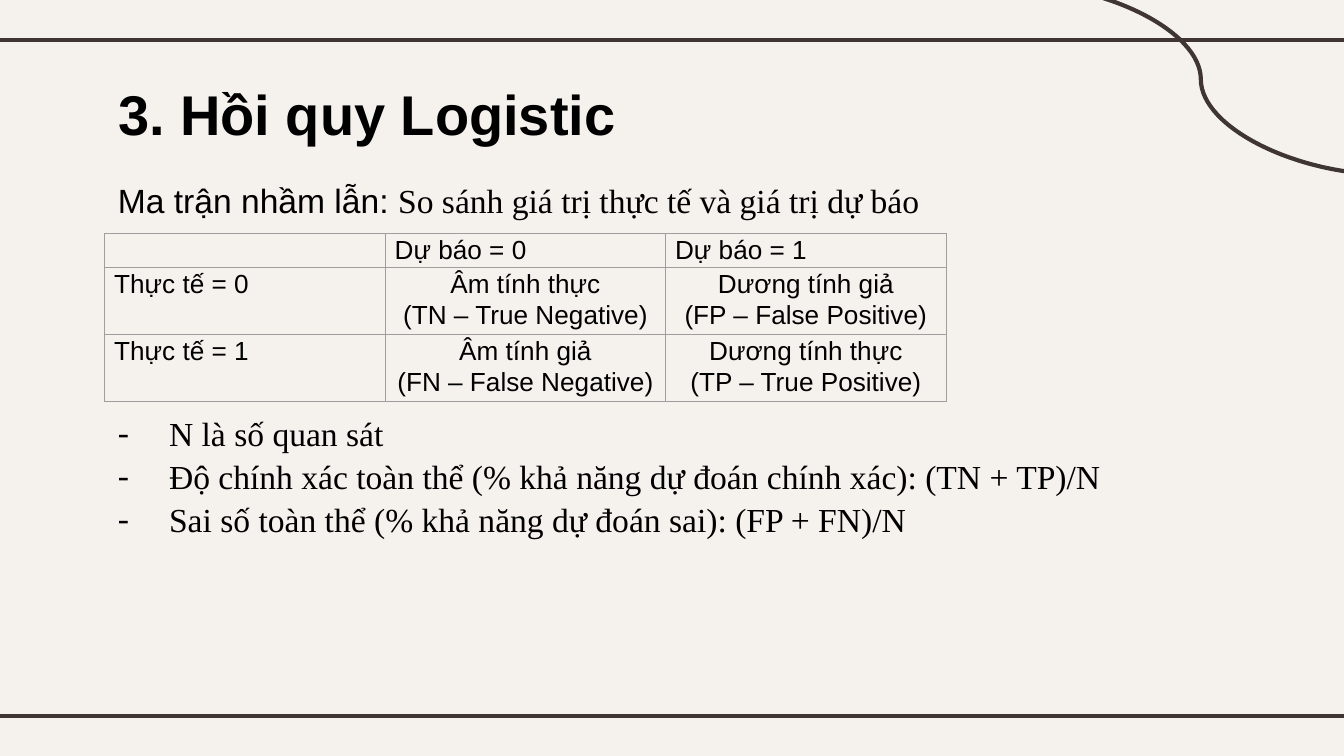
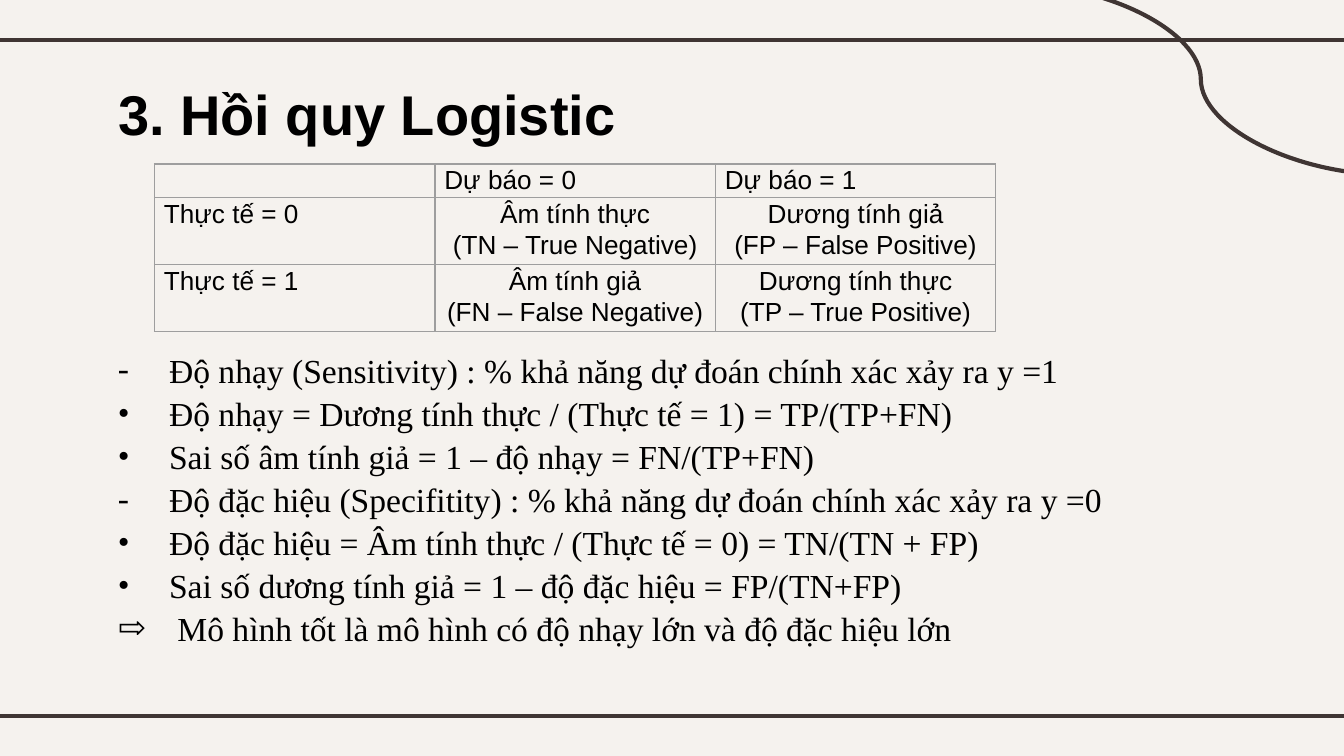
from lxml.etree import SubElement
from pptx import Presentation
from pptx.dml.color import RGBColor
from pptx.enum.shapes import MSO_CONNECTOR
from pptx.enum.text import MSO_ANCHOR, PP_ALIGN
from pptx.oxml.ns import qn
from pptx.util import Inches, Pt

PAPER = RGBColor(0xF5, 0xF2, 0xEE)
BROWN = RGBColor(0x3F, 0x35, 0x33)
GRAY = RGBColor(0x9E, 0x9E, 0x9E)
BLACK = RGBColor(0, 0, 0)
SANS, SERIF = "Arial", "Times New Roman"
WIDTH = Inches(10)
HEIGHT = WIDTH * 9 // 16
LEFT, TOP = Inches(0.78), Inches(1.22)
PAD = Inches(0.1)
HANG = Inches(0.38)
SPAN, TALL = Inches(6.26), Inches(1.19)

LINES = [
    (MSO_CONNECTOR.STRAIGHT, -0.08, 0.3, 10.08, 0.3),
    (MSO_CONNECTOR.STRAIGHT, -0.08, 5.33, 10.08, 5.33),
    (MSO_CONNECTOR.CURVE, 7.53, -0.12, 10.34, 1.3),
]
MATRIX = [
    [[], ["Dự báo = 0"], ["Dự báo = 1"]],
    [["Thực tế = 0"], ["Âm tính thực", "(TN – True Negative)"],
     ["Dương tính giả", "(FP – False Positive)"]],
    [["Thực tế = 1"], ["Âm tính giả", "(FN – False Negative)"],
     ["Dương tính thực", "(TP – True Positive)"]],
]
LEAD = [("Ma trận nhầm lẫn: ", SANS),
        ("So sánh giá trị thực tế và giá trị dự báo", SERIF)]
# Each slide: table left and top, text inset, gap before bullets, lead, bullets
SLIDES = [
    (LEFT, Inches(1.74), PAD, Pt(93.5), LEAD, [
        ("-", "N là số quan sát"),
        ("-", "Độ chính xác toàn thể (% khả năng dự đoán chính xác): (TN + TP)/N"),
        ("-", "Sai số toàn thể (% khả năng dự đoán sai): (FP + FN)/N"),
    ]),
    (Inches(1.15), TOP, Inches(1.36), Pt(0), [], [
        ("-", "Độ nhạy (Sensitivity) : % khả năng dự đoán chính xác xảy ra y =1"),
        ("•", "Độ nhạy = Dương tính thực / (Thực tế = 1) = TP/(TP+FN)"),
        ("•", "Sai số âm tính giả = 1 – độ nhạy = FN/(TP+FN)"),
        ("-", "Độ đặc hiệu (Specifitity) : % khả năng dự đoán chính xác xảy ra y =0"),
        ("•", "Độ đặc hiệu = Âm tính thực / (Thực tế = 0) = TN/(TN + FP)"),
        ("•", "Sai số dương tính giả = 1 – độ đặc hiệu = FP/(TN+FP)"),
        ("⇨", " Mô hình tốt là mô hình có độ nhạy lớn và độ đặc hiệu lớn"),
    ]),
]


def write(para, text, size, face, bold=False):
    run = para.add_run()
    run.text = text
    run.font.size = Pt(size)
    run.font.name = face
    run.font.bold = bold
    run.font.color.rgb = BLACK


def mark(para, sign):
    """Give the paragraph a hanging indent and a bullet sign."""
    props = para._p.get_or_add_pPr()
    props.set("marL", str(HANG))
    props.set("indent", str(-HANG))
    tint = SubElement(props, qn("a:buClr"))
    SubElement(tint, qn("a:srgbClr"), val=str(BLACK))
    SubElement(props, qn("a:buFont"), typeface=SERIF)
    SubElement(props, qn("a:buChar"), char=sign)


deck = Presentation()
deck.slide_width, deck.slide_height = WIDTH, HEIGHT
back = deck.slide_master.background.fill
back.solid()
back.fore_color.rgb = PAPER

for left, top, inset, gap, lead, points in SLIDES:
    slide = deck.slides.add_slide(deck.slide_layouts[5])
    shapes = slide.shapes

    for kind, *ends in LINES:
        line = shapes.add_connector(kind, *map(Inches, ends))
        line.line.color.rgb = BROWN
        line.line.width = Pt(2.25)
        SubElement(line._element.spPr, qn("a:effectLst"))

    title = shapes.title
    title.left, title.top = LEFT, Inches(0.49)
    title.width, title.height = Inches(5.15), Inches(0.63)
    frame = title.text_frame
    frame.margin_left = frame.margin_right = PAD
    frame.margin_top = frame.margin_bottom = PAD
    frame.vertical_anchor = MSO_ANCHOR.TOP
    frame.paragraphs[0].alignment = PP_ALIGN.LEFT
    write(frame.paragraphs[0], "3. Hồi quy Logistic", 30, SANS, True)

    body = shapes.add_textbox(LEFT, TOP, Inches(8.44), Inches(3.6)).text_frame
    body.word_wrap = True
    body.margin_left = body.margin_right = body.margin_bottom = PAD
    body.margin_top = inset
    para = body.paragraphs[0]
    if lead:
        para.alignment = PP_ALIGN.JUSTIFY
        para.line_spacing = 1.07
        para.space_after = Pt(8)
        for text, face in lead:
            write(para, text, 18, face)
        para = body.add_paragraph()
    for i, (sign, text) in enumerate(points):
        if i:
            para = body.add_paragraph()
        para.line_spacing = 1.07
        para.space_before = Pt(0) if i else gap
        para.space_after = Pt(8 if i == len(points) - 1 else 0)
        mark(para, sign)
        write(para, text, 18, SERIF)

    holder = shapes.add_table(3, 3, left, top, SPAN, TALL)
    grid = holder.table
    grid.first_row = grid.horz_banding = False
    for r, row in enumerate(MATRIX):
        grid.columns[r].width = SPAN // 3
        grid.rows[r].height = 0
        for c, texts in enumerate(row):
            cell = grid.cell(r, c)
            cell.margin_left = cell.margin_right = Inches(0.07)
            cell.margin_top = cell.margin_bottom = 0
            for side in "LRTB":
                edge = SubElement(cell._tc.get_or_add_tcPr(),
                                  qn("a:ln" + side), w=str(Pt(0.75)))
                fill = SubElement(edge, qn("a:solidFill"))
                SubElement(fill, qn("a:srgbClr"), val=str(GRAY))
            cell.fill.background()
            if not texts:
                SubElement(cell.text_frame.paragraphs[0]._p,
                           qn("a:endParaRPr"), sz="1400")
            for i, text in enumerate(texts):
                para = (cell.text_frame.add_paragraph() if i
                        else cell.text_frame.paragraphs[0])
                para.line_spacing = 1.07
                para.alignment = PP_ALIGN.CENTER if r and c else PP_ALIGN.LEFT
                write(para, text, 14, SANS)
    holder.height = TALL

deck.save("out.pptx")
